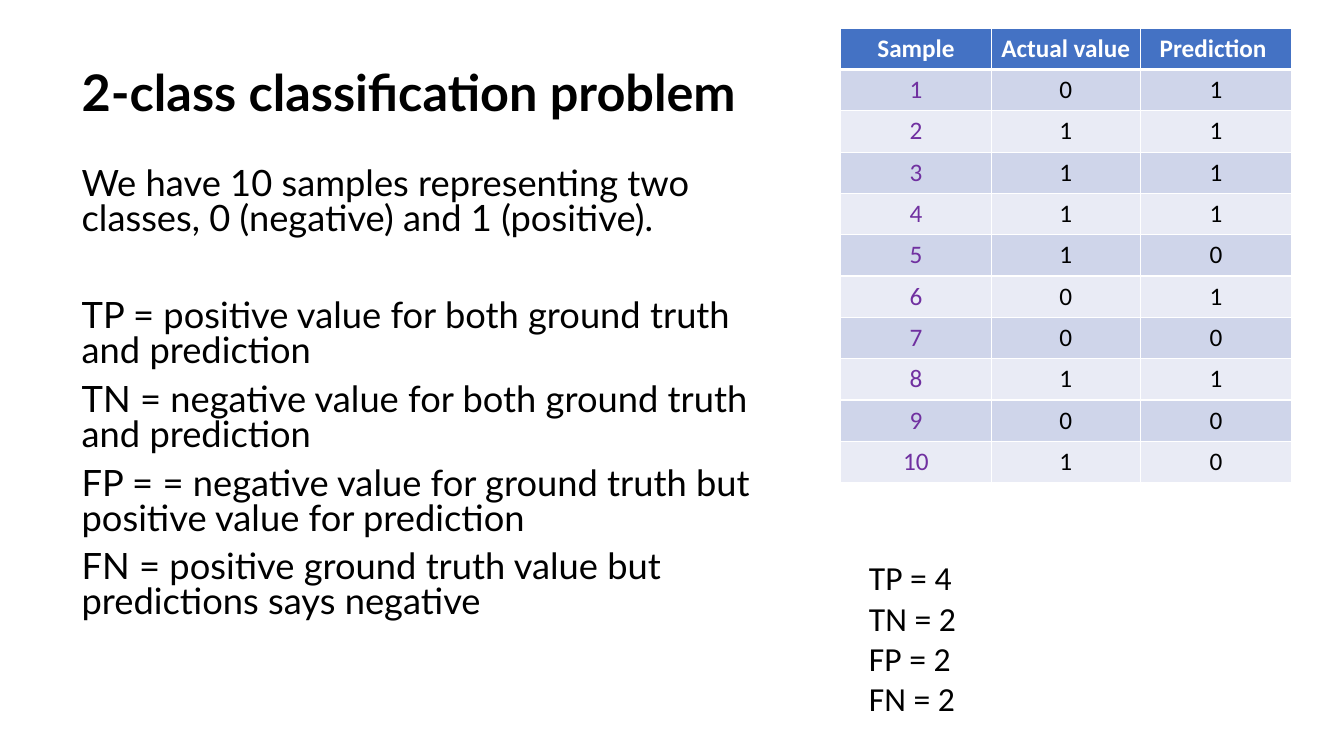
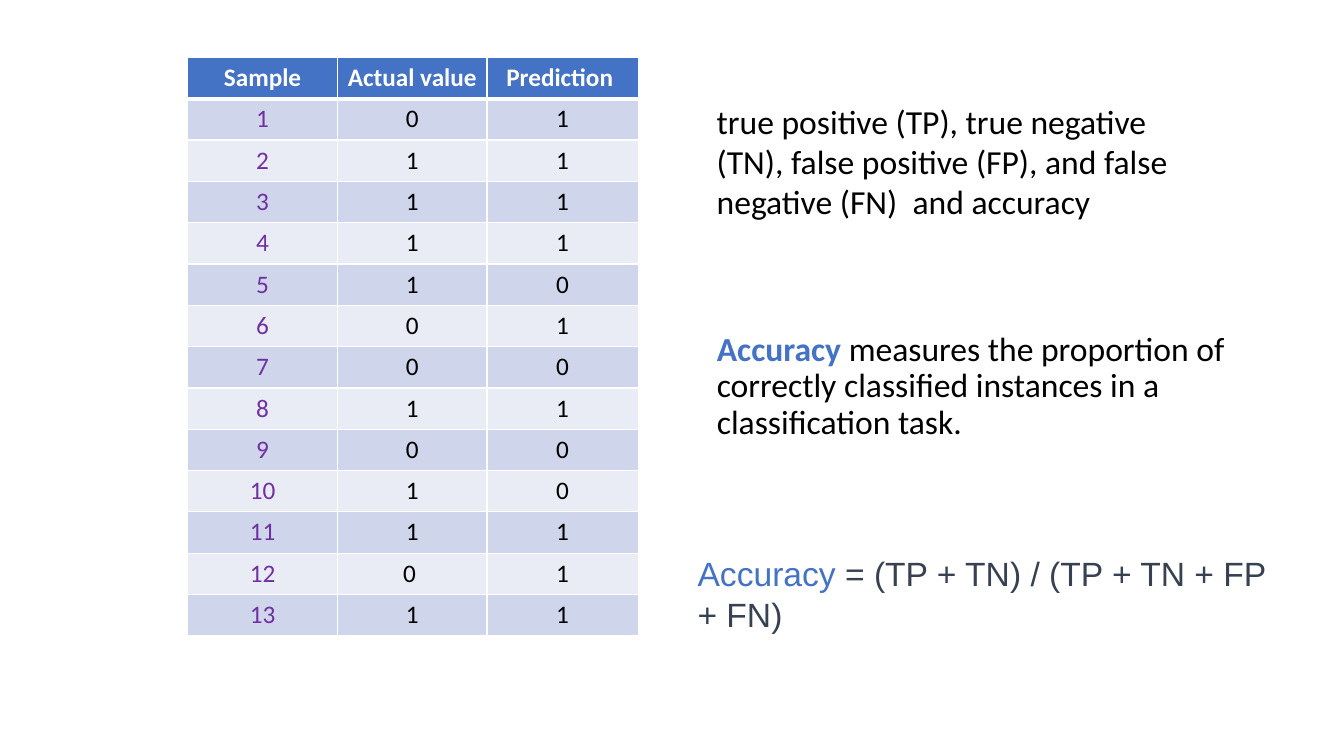
from lxml.etree import SubElement
from pptx import Presentation
from pptx.dml.color import RGBColor
from pptx.enum.text import MSO_ANCHOR, MSO_AUTO_SIZE, PP_ALIGN
from pptx.oxml.ns import qn
from pptx.util import Inches, Pt

BLACK, WHITE, SLATE = "000000", "FFFFFF", "374151"
BLUE, PURPLE = "4472C4", "7030A0"
BANDS = ("CFD5EA", "E9EBF5")

HEADINGS = ("Sample", "Actual value", "Prediction ")
ACTUAL = ("0", "1", "1", "1", "1", "0", "0", "1", "0", "1", "1", "0 ", "1")
PREDICTED = ("1", "1", "1", "1", "0", "1", "0", "1", "0", "0", "1", "1", "1")


def rgb(value):
    return RGBColor.from_string(value)


class Deck:
    """Holds the shared style and the current slide."""

    column_widths = (1.49, 1.48, 1.5)
    row_height = 0.41

    def __init__(self):
        self.prs = Presentation()
        self.prs.slide_width = Inches(13.33)
        self.prs.slide_height = Inches(7.5)
        self.slide = None

    def new_slide(self):
        self.slide = self.prs.slides.add_slide(self.prs.slide_layouts[1])

    def place(self, shape, box):
        for name, length in zip(("left", "top", "width", "height"), box):
            setattr(shape, name, Inches(length))

    def add_runs(self, paragraph, runs, size, font, **paragraph_format):
        """Add (text, colour, bold) runs to a paragraph."""
        for name, value in paragraph_format.items():
            setattr(paragraph, name, value)
        for text, color, bold in runs:
            run = paragraph.add_run()
            run.text = text
            style = {"size": Pt(size), "name": font, "bold": bold}
            for name, value in style.items():
                setattr(run.font, name, value)
            run.font.color.rgb = rgb(color)

    def fill_frame(self, frame, paragraphs, size, font, gaps=None, bullets_off=False, **paragraph_format):
        frame.word_wrap = True
        for i, runs in enumerate(paragraphs):
            paragraph = frame.add_paragraph() if i else frame.paragraphs[0]
            if bullets_off:
                properties = paragraph._p.get_or_add_pPr()
                properties.set("marL", "0")
                properties.set("indent", "0")
                SubElement(properties, qn("a:buNone"))
            before = Pt(gaps[i]) if gaps else Pt(0)
            self.add_runs(paragraph, runs, size, font, space_before=before, **paragraph_format)

    def title(self, text, box):
        title = self.slide.shapes.title
        self.place(title, box)
        title.text_frame.auto_size = MSO_AUTO_SIZE.NONE
        title.text_frame.vertical_anchor = MSO_ANCHOR.MIDDLE
        self.fill_frame(title.text_frame, [[(text, BLACK, True)]], 36, "Lato",
                        alignment=PP_ALIGN.LEFT, line_spacing=0.9)

    def drop_title(self):
        title = self.slide.shapes.title.element
        title.getparent().remove(title)

    def body(self, paragraphs, box, size, font, line_spacing, gaps=None):
        body = self.slide.placeholders[1]
        self.place(body, box)
        body.text_frame.auto_size = MSO_AUTO_SIZE.NONE
        self.fill_frame(body.text_frame, paragraphs, size, font, gaps,
                        bullets_off=True, line_spacing=line_spacing)

    def text(self, paragraphs, box, font="Calibri"):
        note = self.slide.shapes.add_textbox(*map(Inches, box))
        note.text_frame.auto_size = MSO_AUTO_SIZE.SHAPE_TO_FIT_TEXT
        self.fill_frame(note.text_frame, paragraphs, 24, font)

    def cell_borders(self, cell, **widths):
        properties = cell._tc.get_or_add_tcPr()
        for i, side in enumerate("LRTB"):
            line = SubElement(properties, qn(f"a:ln{side}"), w=str(Pt(widths.get(side, 1))))
            fill = SubElement(line, qn("a:solidFill"))
            SubElement(fill, qn("a:srgbClr"), val=WHITE)
            properties.insert(i, line)

    def sample_table(self, count, left, top):
        samples = [(str(i + 1), ACTUAL[i], PREDICTED[i]) for i in range(count)]
        rows = [HEADINGS, *samples]
        table = self.slide.shapes.add_table(
            len(rows), len(HEADINGS), Inches(left), Inches(top),
            Inches(sum(self.column_widths)), Inches(self.row_height * len(rows))).table
        for column, width in zip(table.columns, self.column_widths):
            column.width = Inches(width)
        for r, values in enumerate(rows):
            table.rows[r].height = Inches(self.row_height)
            for c, value in enumerate(values):
                cell = table.cell(r, c)
                cell.fill.solid()
                cell.fill.fore_color.rgb = rgb(BANDS[(r - 1) % 2] if r else BLUE)
                color = WHITE if r == 0 else BLACK if c else PURPLE
                self.add_runs(cell.text_frame.paragraphs[0], [(value, color, r == 0)], 18,
                              "Calibri", alignment=PP_ALIGN.CENTER)
                # Thick rule between the heading and the samples
                self.cell_borders(cell, B=1 if r else 3, T=3 if r == 1 else 1)


def plain(*lines):
    return [[(line, BLACK, False)] for line in lines]


def main():
    deck = Deck()

    # Slide 1: definitions and counts
    deck.new_slide()
    deck.title("2-class classification problem", (0.71, 0.58, 7.96, 0.72))
    deck.body(plain(
        "We have 10 samples representing two classes, 0 (negative) and 1 (positive).",
        "TP = positive value for both ground truth and prediction",
        "TN = negative value for both ground truth and prediction",
        "FP = = negative value for ground truth but positive value for prediction",
        "FN = positive ground truth value but predictions says negative",
    ), (0.71, 1.62, 6.94, 4.76), 25.9, "Lato", 0.8, gaps=(0, 45, 10, 10, 10))
    deck.sample_table(10, 8.34, 0.28)
    deck.text(plain("TP = 4", "TN = 2", "FP = 2", "FN = 2"), (8.52, 5.48, 3.06, 1.72))

    # Slide 2: accuracy
    deck.new_slide()
    deck.drop_title()
    deck.sample_table(13, 1.86, 0.57)
    deck.text(plain("true positive (TP), true negative (TN), false positive (FP), "
                    "and false negative (FN)  and accuracy"), (7.01, 0.95, 5.08, 1.31))
    deck.body([[("Accuracy", BLUE, True),
                (" measures the proportion of correctly classified instances "
                 "in a classification task.", BLACK, False)]],
              (7.01, 3.25, 5.97, 1.84), 24, "Calibri", 0.9)
    deck.text([[("Accuracy", BLUE, False),
                (" = (TP + TN) / (TP + TN + FP + FN)", SLATE, False)]],
              (6.82, 5.44, 5.85, 0.81), "Arial")

    deck.prs.save("out.pptx")


if __name__ == "__main__":
    main()
